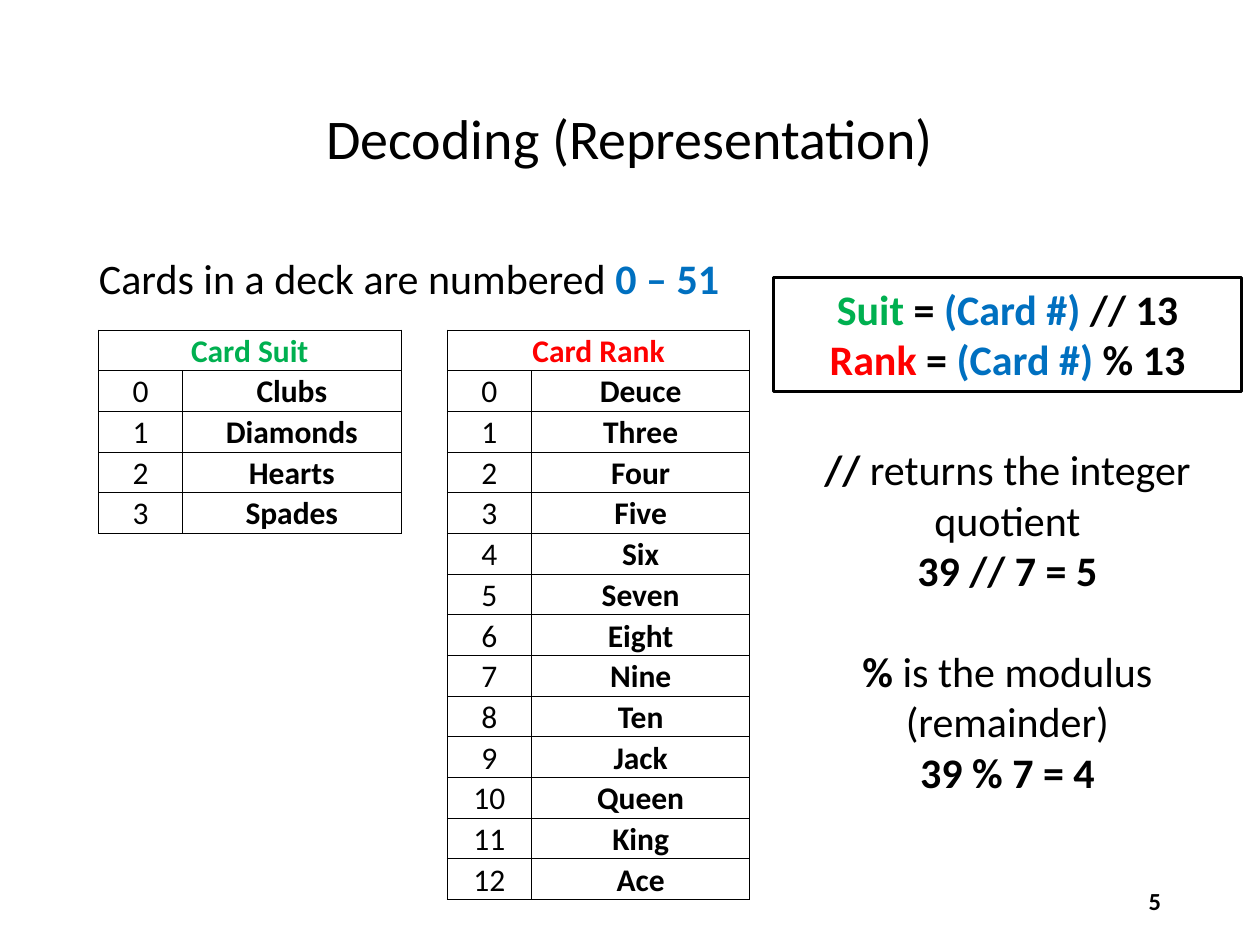
from dataclasses import dataclass, field

from pptx import Presentation
from pptx.dml.color import RGBColor
from pptx.enum.shapes import MSO_SHAPE
from pptx.enum.text import MSO_ANCHOR, PP_ALIGN
from pptx.oxml.ns import qn
from pptx.slide import Slide
from pptx.table import _Cell
from pptx.text.text import TextFrame, _Paragraph
from pptx.util import Pt
from lxml import etree

LEFT, CENTER, RIGHT = PP_ALIGN.LEFT, PP_ALIGN.CENTER, PP_ALIGN.RIGHT
TOP, MIDDLE, BOTTOM = MSO_ANCHOR.TOP, MSO_ANCHOR.MIDDLE, MSO_ANCHOR.BOTTOM
RECTANGLE = MSO_SHAPE.RECTANGLE

FONT = "Calibri"
COLORS = {"black": "000000", "blue": "0070C0", "green": "00B050", "red": "FF0000"}

SUITS = ["Clubs", "Diamonds", "Hearts", "Spades"]
RANKS = ["Deuce", "Three", "Four", "Five", "Six", "Seven", "Eight", "Nine",
         "Ten", "Jack", "Queen", "King", "Ace"]
TABLE_LEFT, TABLE_TOP = 56.3, 188.6
ROW_HEIGHT = 23.25
COLUMN_WIDTHS = [48.1, 124.8, 26.5, 48.1, 124.8]
CELL_FORMAT = {"margin_left": Pt(0.7), "margin_right": Pt(0.7), "margin_top": Pt(0.7),
               "margin_bottom": 0, "vertical_anchor": BOTTOM}
# Each border tag with the row and column step to the cell it is shared with
BORDERS = {"a:lnL": (0, -1), "a:lnR": (0, 1), "a:lnT": (-1, 0), "a:lnB": (1, 0)}


@dataclass
class Run:
    text: str
    bold: bool = False
    color: str = "black"


@dataclass
class Para:
    runs: list[Run]
    format: dict = field(default_factory=dict)


@dataclass
class Box:
    left: float
    top: float
    width: float
    height: float
    paras: list[Para]
    size: float = 24
    align: PP_ALIGN = CENTER
    anchor: MSO_ANCHOR = TOP
    outlined: bool = False


@dataclass
class Lookup:
    title: str
    color: str
    column: int
    names: list[str]


BOXES = [
    Box(49.5, 28.75, 621, 104.4, [Para([Run("Decoding (Representation)")], {"line_spacing": 0.9})],
        size=32, anchor=MIDDLE),
    Box(49.5, 143.75, 621, 342.6,
        [Para([Run("Cards in a deck are numbered "), Run("0 – 51", True, "blue")],
              {"line_spacing": 0.9, "space_after": Pt(12)})], align=LEFT),
    Box(508.5, 500.5, 162, 28.75, [Para([Run("5", True)])], size=14, align=RIGHT, anchor=MIDDLE),
    Box(442, 158.4, 267.4, 65.4,
        [Para([Run("Suit", True, "green"), Run(" = ", True),
               Run("(Card #) ", True, "blue"), Run("// 13", True)]),
         Para([Run("Rank ", True, "red"), Run("= ", True),
               Run("(Card #)", True, "blue"), Run(" % 13", True)])], outlined=True),
    Box(442, 250, 267.4, 211,
        [Para([Run("//", True), Run(" returns the integer quotient")]),
         Para([Run("39 // 7 = 5", True)]),
         Para([Run("%", True), Run(" is the modulus (remainder)")], {"space_before": Pt(28.8)}),
         Para([Run("39 % 7 = 4", True)])]),
]
LOOKUPS = [Lookup("Card Suit", "green", 0, SUITS), Lookup("Card Rank", "red", 3, RANKS)]


def rgb(name: str) -> RGBColor:
    return RGBColor.from_string(COLORS[name])


def add_run(p: _Paragraph, run: Run, size: float) -> None:
    r = p.add_run()
    r.text = run.text
    for name, value in {"name": FONT, "size": Pt(size), "bold": run.bold}.items():
        setattr(r.font, name, value)
    r.font.color.rgb = rgb(run.color)


def write(tf: TextFrame, paras: list[Para], size: float, align: PP_ALIGN) -> None:
    for i, para in enumerate(paras):
        p = tf.add_paragraph() if i else tf.paragraphs[0]
        for name, value in {"alignment": align, **para.format}.items():
            setattr(p, name, value)
        for run in para.runs:
            add_run(p, run, size)


def add_box(s: Slide, box: Box) -> None:
    frame = [Pt(v) for v in (box.left, box.top, box.width, box.height)]
    if box.outlined:
        sp = s.shapes.add_shape(RECTANGLE, *frame)
        sp.shadow.inherit = False
        sp.fill.background()
        sp.line.color.rgb = rgb("black")
        sp.line.width = Pt(1.5)
    else:
        sp = s.shapes.add_textbox(*frame)
    tf = sp.text_frame
    tf.word_wrap = True
    tf.vertical_anchor = box.anchor
    write(tf, box.paras, box.size, box.align)


def set_border(cell: _Cell, tag: str, visible: bool) -> None:
    ln = etree.SubElement(cell._tc.get_or_add_tcPr(), qn(tag), w=str(Pt(0.5)))
    if visible:
        fill = etree.SubElement(ln, qn("a:solidFill"))
        etree.SubElement(fill, qn("a:srgbClr"), val=COLORS["black"])
    else:
        etree.SubElement(ln, qn("a:noFill"))


def add_lookup_table(s: Slide, lookups: list[Lookup]) -> None:
    """Draw all lookups side by side in one table; cells outside them stay bare."""
    rows = 1 + max(len(lookup.names) for lookup in lookups)
    columns = len(COLUMN_WIDTHS)
    table = s.shapes.add_table(rows, columns, Pt(TABLE_LEFT), Pt(TABLE_TOP),
                               Pt(sum(COLUMN_WIDTHS)), Pt(rows * ROW_HEIGHT)).table
    table.first_row = table.horz_banding = False
    for column, width in zip(table.columns, COLUMN_WIDTHS):
        column.width = Pt(width)
    for row in table.rows:
        row.height = Pt(ROW_HEIGHT)

    used = {(row, lookup.column + side) for lookup in lookups
            for row in range(len(lookup.names) + 1) for side in (0, 1)}
    for row in range(rows):
        for column in range(columns):
            cell = table.cell(row, column)
            for name, value in CELL_FORMAT.items():
                setattr(cell, name, value)
            for tag, (down, across) in BORDERS.items():
                shared = {(row, column), (row + down, column + across)}
                set_border(cell, tag, bool(shared & used))
            cell.fill.background()

    for lookup in lookups:
        left = lookup.column
        table.cell(0, left).merge(table.cell(0, left + 1))
        entries = [(0, left, Run(lookup.title, True, lookup.color))]
        for i, name in enumerate(lookup.names):
            entries += [(i + 1, left, Run(str(i))), (i + 1, left + 1, Run(name, True))]
        for row, column, run in entries:
            write(table.cell(row, column).text_frame, [Para([run])], 18, CENTER)


def main() -> None:
    prs = Presentation()
    prs.slide_width, prs.slide_height = Pt(720), Pt(540)
    s = prs.slides.add_slide(prs.slide_layouts[6])
    for box in BOXES:
        add_box(s, box)
    add_lookup_table(s, LOOKUPS)
    prs.save("out.pptx")


if __name__ == "__main__":
    main()
